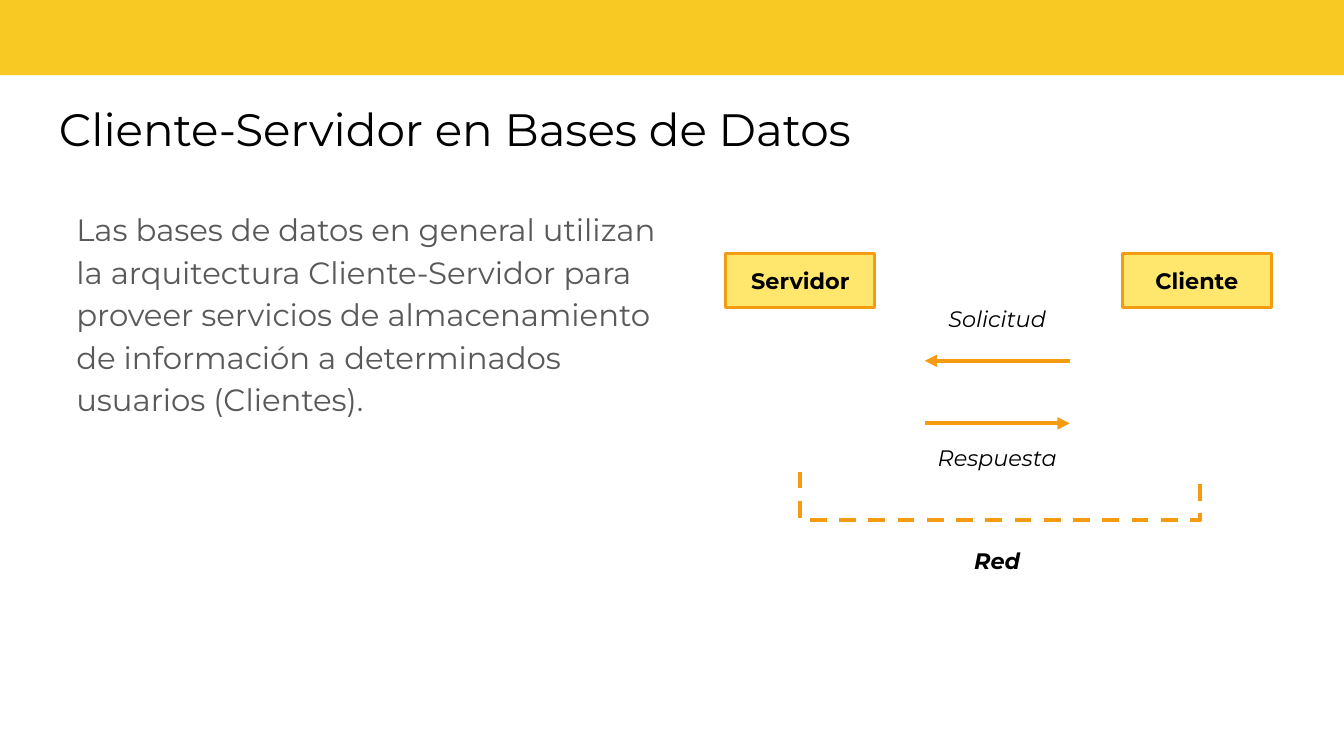
from pptx import Presentation
from pptx.dml.color import RGBColor
from pptx.enum.dml import MSO_LINE
from pptx.enum.shapes import MSO_CONNECTOR, MSO_SHAPE
from pptx.enum.text import MSO_ANCHOR, PP_ALIGN
from pptx.oxml.ns import qn
from pptx.util import Pt
from lxml import etree

PX = 4572
RECT = MSO_SHAPE.RECTANGLE
STRAIGHT = MSO_CONNECTOR.STRAIGHT
DASH = MSO_LINE.DASH
TOP, MIDDLE = MSO_ANCHOR.TOP, MSO_ANCHOR.MIDDLE
LEFT, CENTER = PP_ALIGN.LEFT, PP_ALIGN.CENTER
FONT = "Montserrat"
COLORS = {
    "band": "F8C823",
    "box": "FFE66D",
    "line": "F39C12",
    "ink": "000000",
    "body": "595959",
}


class Deck:
    def __init__(self, width, height):
        self.prs = Presentation()
        self.prs.slide_width = width * PX
        self.prs.slide_height = height * PX
        self.slide = self.prs.slides.add_slide(self.prs.slide_layouts[6])
        self.shapes = self.slide.shapes

    def color(self, name):
        return RGBColor.from_string(COLORS[name])

    def scale(self, *sizes):
        return [size * PX for size in sizes]

    def stroke(self, shape, width):
        shape.line.color.rgb = self.color("line")
        shape.line.width = Pt(width)

    def fill_text(self, shape, text, size, color="ink", align=LEFT, anchor=TOP,
                  bold=False, italic=False):
        frame = shape.text_frame
        frame.word_wrap = True
        frame.vertical_anchor = anchor
        frame.margin_left = frame.margin_right = 20 * PX
        frame.margin_top = frame.margin_bottom = 20 * PX
        para = frame.paragraphs[0]
        para.text = text
        para.alignment = align
        font = para.font
        font.name = FONT
        font.size = Pt(size)
        font.bold = bold
        font.italic = italic
        font.color.rgb = self.color(color)
        return para

    def rect(self, area, fill):
        shape = self.shapes.add_shape(RECT, *self.scale(*area))
        shape.shadow.inherit = False
        shape.fill.solid()
        shape.fill.fore_color.rgb = self.color(fill)
        shape.line.fill.background()
        return shape

    def text(self, area, text, size, **style):
        box = self.shapes.add_textbox(*self.scale(*area))
        return self.fill_text(box, text, size, **style)

    def node(self, area, text):
        shape = self.rect(area, "box")
        self.stroke(shape, 1.5)
        self.fill_text(shape, text, 12, align=CENTER, anchor=MIDDLE, bold=True)

    def label(self, area, text, bold=False):
        self.text(area, text, 12, align=CENTER, anchor=MIDDLE,
                  bold=bold, italic=True)

    def arrow(self, start, end, y):
        line = self.shapes.add_connector(STRAIGHT, *self.scale(start, y, end, y))
        self.stroke(line, 2.25)
        props = line._element.spPr
        tail = etree.SubElement(props.find(qn("a:ln")), qn("a:tailEnd"))
        tail.set("type", "triangle")
        etree.SubElement(props, qn("a:effectLst"))

    def link(self, points):
        first, *rest = points
        pen = self.shapes.build_freeform(*first, scale=PX)
        pen.add_line_segments(rest, close=False)
        shape = pen.convert_to_shape()
        shape.shadow.inherit = False
        shape.fill.background()
        self.stroke(shape, 2.25)
        shape.line.dash_style = DASH


def main():
    deck = Deck(2000, 1125)
    deck.rect((-2, -10, 2006, 122), "band")
    deck.text((68, 130, 1860, 126), "Cliente-Servidor en Bases de Datos", 24.3)
    body = deck.text(
        (94, 286, 906, 722),
        "Las bases de datos en general utilizan la arquitectura "
        "Cliente-Servidor para proveer servicios de almacenamiento de "
        "información a determinados usuarios (Clientes).",
        16.5, color="body")
    body.line_spacing = 1.15
    body.space_after = Pt(12)

    deck.link([(1190, 702), (1190, 774), (1786, 774), (1786, 712)])
    for x, name in ((1080, "Servidor"), (1670, "Cliente")):
        deck.node((x, 377, 222, 81), name)
    deck.arrow(1592, 1376, 537)
    deck.arrow(1376, 1592, 630)
    for y, name, bold in ((434, "Solicitud", False),
                          (641, "Respuesta", False),
                          (794, "Red", True)):
        deck.label((1373, y, 222, 81), name, bold)
    deck.prs.save("out.pptx")


if __name__ == "__main__":
    main()
